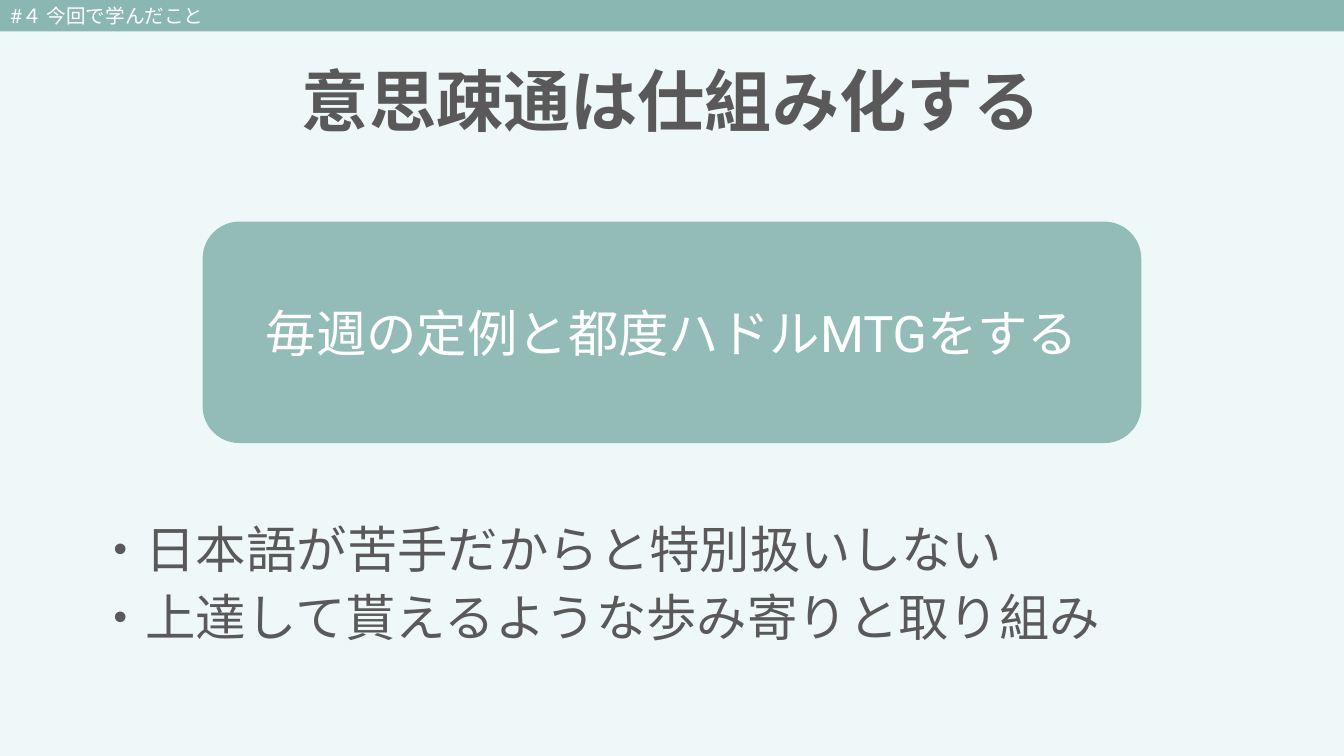
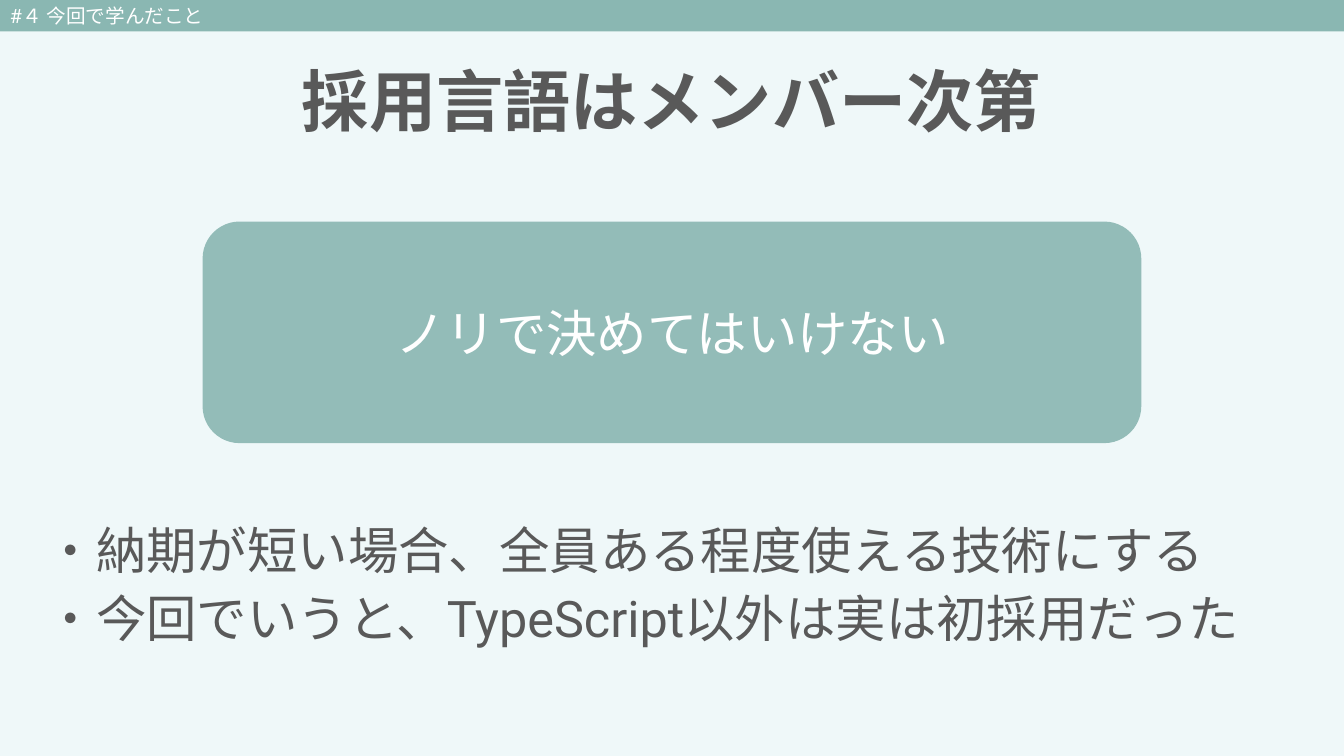
from dataclasses import dataclass

from lxml import etree
from pptx import Presentation
from pptx import util as u
from pptx.dml.color import RGBColor
from pptx.enum import shapes, text
from pptx.oxml import ns

PX = 9525
WIDTH, HEIGHT = 1280, 720
FONT = "Roboto"
PALE = RGBColor(0xEF, 0xF8, 0xF9)
TEAL = RGBColor(0x8A, 0xB7, 0xB2)
SOFT_TEAL = RGBColor(0x93, 0xBC, 0xB8)
GREY = RGBColor(0x59, 0x59, 0x59)
WHITE = RGBColor(0xFF, 0xFF, 0xFF)
SECTION = "#４ 今回で学んだこと"


@dataclass(frozen=True)
class Box:
    left: int
    top: int
    width: int
    height: int


@dataclass(frozen=True)
class Style:
    size: int
    color: RGBColor
    align: text.PP_ALIGN = text.PP_ALIGN.LEFT
    anchor: text.MSO_ANCHOR = text.MSO_ANCHOR.MIDDLE
    bold: bool = False
    line_spacing: float = 1.0
    space_before: int = 0


@dataclass(frozen=True)
class Lesson:
    title: str
    message: str
    points: tuple[str, ...]
    points_box: Box


BAND_BOX = Box(0, 0, WIDTH, 30)
TITLE_BOX = Box(63, 30, 1153, 139)
CARD_BOX = Box(193, 211, 894, 211)

BAND_STYLE = Style(14, WHITE)
TITLE_STYLE = Style(48, GREY, text.PP_ALIGN.CENTER, bold=True, line_spacing=0.9)
CARD_STYLE = Style(36, WHITE, text.PP_ALIGN.CENTER)
POINTS_STYLE = Style(36, GREY, anchor=text.MSO_ANCHOR.TOP,
                     line_spacing=0.9, space_before=10)

LESSONS = (
    Lesson(
        "意思疎通は仕組み化する",
        "毎週の定例と都度ハドルMTGをする",
        ("・日本語が苦手だからと特別扱いしない",
         "・上達して貰えるような歩み寄りと取り組み"),
        Box(81, 495, 1136, 139),
    ),
    Lesson(
        "採用言語はメンバー次第",
        "ノリで決めてはいけない",
        ("・納期が短い場合、全員ある程度使える技術にする",
         "・今回でいうと、TypeScript以外は実は初採用だった"),
        Box(34, 496, 1212, 172),
    ),
)


def place(shape, box: Box) -> None:
    shape.left, shape.top = box.left * PX, box.top * PX
    shape.width, shape.height = box.width * PX, box.height * PX


def write(shape, lines: tuple[str, ...], style: Style) -> None:
    frame = shape.text_frame
    frame.word_wrap = True
    frame.auto_size = text.MSO_AUTO_SIZE.NONE
    frame.vertical_anchor = style.anchor
    for index, line in enumerate(lines):
        para = frame.add_paragraph() if index else frame.paragraphs[0]
        properties = para._p.get_or_add_pPr()
        properties.set("marL", "0")
        properties.set("indent", "0")
        etree.SubElement(properties, ns.qn("a:buNone"))
        para.alignment = style.align
        para.line_spacing = style.line_spacing
        para.space_before = u.Pt(style.space_before if index else 0)
        span = para.add_run()
        span.text = line
        span.font.size = u.Pt(style.size)
        span.font.bold = style.bold
        span.font.color.rgb = style.color
        span.font.name = FONT
        east_asian = etree.SubElement(span._r.get_or_add_rPr(), ns.qn("a:ea"))
        east_asian.set("typeface", FONT)


def add_panel(page, kind: shapes.MSO_SHAPE, box: Box, color: RGBColor,
              line: str, style: Style) -> None:
    panel = page.shapes.add_shape(kind, 0, 0, PX, PX)
    place(panel, box)
    panel.shadow.inherit = False
    panel.fill.solid()
    panel.fill.fore_color.rgb = color
    panel.line.fill.background()
    write(panel, (line,), style)


def add_lesson(deck, lesson: Lesson) -> None:
    page = deck.slides.add_slide(deck.slide_layouts[1])
    title, points = page.shapes.title, page.placeholders[1]
    place(title, TITLE_BOX)
    write(title, (lesson.title,), TITLE_STYLE)
    place(points, lesson.points_box)
    write(points, lesson.points, POINTS_STYLE)
    add_panel(page, shapes.MSO_SHAPE.ROUNDED_RECTANGLE, CARD_BOX, SOFT_TEAL,
              lesson.message, CARD_STYLE)
    add_panel(page, shapes.MSO_SHAPE.RECTANGLE, BAND_BOX, TEAL,
              SECTION, BAND_STYLE)


def main() -> None:
    deck = Presentation()
    deck.slide_width, deck.slide_height = WIDTH * PX, HEIGHT * PX
    background = deck.slide_master.background.fill
    background.solid()
    background.fore_color.rgb = PALE
    for lesson in LESSONS:
        add_lesson(deck, lesson)
    deck.save("out.pptx")


if __name__ == "__main__":
    main()
